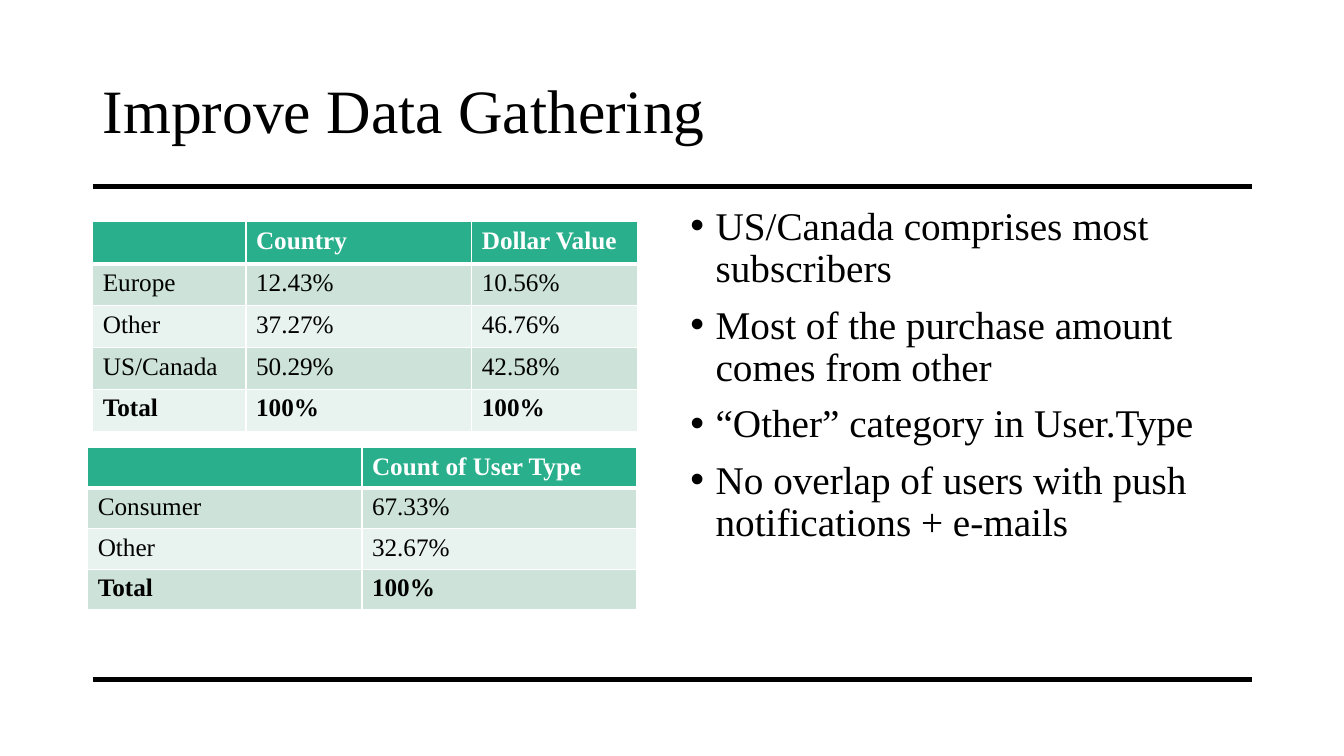
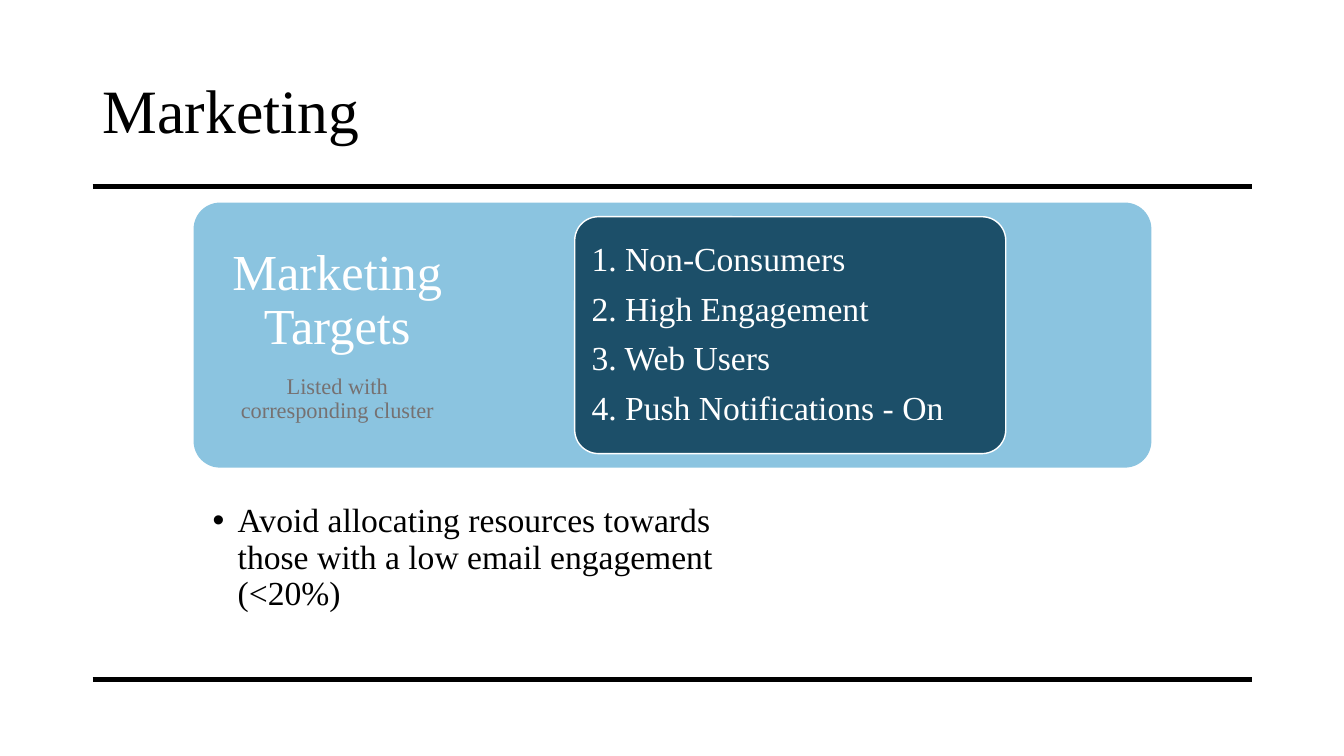
from pptx import Presentation
from pptx.dml.color import RGBColor
from pptx.enum.shapes import MSO_CONNECTOR, MSO_SHAPE
from pptx.enum.text import MSO_ANCHOR, PP_ALIGN
from pptx.oxml.ns import qn
from pptx.util import Inches, Pt
from lxml import etree

# Content
GATHERING_TITLE = "Improve Data Gathering"
REGION_ROWS = [
    ("", "Country", "Dollar Value"),
    ("Europe", "12.43%", "10.56%"),
    ("Other", "37.27%", "46.76%"),
    ("US/Canada", "50.29%", "42.58%"),
    ("Total", "100%", "100%"),
]
USER_ROWS = [
    ("", "Count of User Type"),
    ("Consumer", "67.33%"),
    ("Other", "32.67%"),
    ("Total", "100%"),
]
GATHERING_POINTS = [
    "US/Canada comprises most subscribers",
    "Most of the purchase amount comes from other",
    "“Other” category in User.Type",
    "No overlap of users with push notifications + e-mails",
]
MARKETING_TITLE = "Marketing"
PANEL_HEADING = [("Marketing Targets", 36), ("Listed with corresponding cluster", 16)]
TARGETS = ["1. Non-Consumers", "2. High Engagement", "3. Web Users",
           "4. Push Notifications - On"]
MARKETING_POINTS = ["Avoid allocating resources towards those with a low email "
                    "engagement (<20%)"]

# Shared style
FONT = "Times New Roman"
BLACK = RGBColor(0x00, 0x00, 0x00)
WHITE = RGBColor(0xFF, 0xFF, 0xFF)
GREY = RGBColor(0x76, 0x71, 0x71)
GREEN = RGBColor(0x29, 0xAF, 0x8C)
BANDS = (RGBColor(0xCD, 0xE3, 0xDA), RGBColor(0xE8, 0xF2, 0xEE))
SKY = RGBColor(0x8B, 0xC4, 0xE0)
NAVY = RGBColor(0x1C, 0x4F, 0x69)
MIDDLE, TOP = MSO_ANCHOR.MIDDLE, MSO_ANCHOR.TOP
LEFT, CENTER = PP_ALIGN.LEFT, PP_ALIGN.CENTER
ROUNDED, STRAIGHT = MSO_SHAPE.ROUNDED_RECTANGLE, MSO_CONNECTOR.STRAIGHT

# Page frame, in inches
W, H = 13.33, 7.5
MARGIN, CONTENT_W = 0.92, 11.5
RULES_Y = (1.85, 6.74)
TITLE_Y = 0.4
BODY_W = 5.67
AFTER = 0.39  # paragraph gap in the panel, as a share of the text size


def inches(box):
    return [Inches(v) for v in box]


def add_run(p, text, size, color=BLACK, bold=False):
    r = p.add_run()
    r.text = text
    f = r.font
    f.name, f.size, f.bold = FONT, Pt(size), bold
    f.color.rgb = color


def fill_text(sp, items, align=LEFT, anchor=TOP, after=0, inset=None, bullet=False):
    """Write (text, size, color) items as paragraphs."""
    tf = sp.text_frame
    tf.word_wrap, tf.vertical_anchor = True, anchor
    if inset is not None:
        tf.margin_left = tf.margin_right = Inches(inset)
        tf.margin_top = tf.margin_bottom = Inches(inset)
    for i, (text, size, color) in enumerate(items):
        p = tf.add_paragraph() if i else tf.paragraphs[0]
        p.alignment, p.line_spacing = align, 0.9
        p.space_after = Pt(round(size * after, 1))
        if bullet:
            p.space_before = Pt(10)
            pPr = p._p.get_or_add_pPr()
            pPr.set("marL", str(Inches(0.25)))
            pPr.set("indent", str(-Inches(0.25)))
            etree.SubElement(pPr, qn("a:buFont")).set("typeface", "Arial")
            etree.SubElement(pPr, qn("a:buChar")).set("char", "•")
        add_run(p, text, size, color)


def add_text(s, box, items, **style):
    fill_text(s.shapes.add_textbox(*inches(box)), items, **style)


def add_bullets(s, box, points, size):
    add_text(s, box, [(t, size, BLACK) for t in points], bullet=True)


def add_panel(s, box, color):
    sp = s.shapes.add_shape(ROUNDED, *inches(box))
    sp.adjustments[0] = 0.1
    sp.shadow.inherit = False
    sp.fill.solid()
    sp.fill.fore_color.rgb = color
    sp.line.fill.background()
    return sp


def set_borders(cell, bottom):
    tcPr = cell._tc.get_or_add_tcPr()
    for tag, width in (("lnL", 1), ("lnR", 1), ("lnT", 1), ("lnB", bottom)):
        ln = etree.SubElement(tcPr, qn(f"a:{tag}"), w=str(Pt(width)))
        fill = etree.SubElement(ln, qn("a:solidFill"))
        etree.SubElement(fill, qn("a:srgbClr")).set("val", str(WHITE))


def add_table(s, x, y, col_widths, height, rows):
    box = inches((x, y, sum(col_widths), height))
    tb = s.shapes.add_table(len(rows), len(col_widths), *box).table
    tb.first_row = tb.horz_banding = False
    for col, width in zip(tb.columns, col_widths):
        col.width = Inches(width)
    for i, row in enumerate(rows):
        tb.rows[i].height = Inches(height / len(rows))
        header = i == 0
        for j, text in enumerate(row):
            cell = tb.cell(i, j)
            set_borders(cell, 3 if header else 1)
            cell.fill.solid()
            cell.fill.fore_color.rgb = GREEN if header else BANDS[(i - 1) % 2]
            add_run(cell.text_frame.paragraphs[0], text, 18,
                    WHITE if header else BLACK, header or row[0] == "Total")


def add_slide(prs, title, title_w=CONTENT_W):
    """Blank slide with the two rules and the title."""
    s = prs.slides.add_slide(prs.slide_layouts[6])
    for y in RULES_Y:
        rule = s.shapes.add_connector(
            STRAIGHT, *inches((MARGIN, y, MARGIN + CONTENT_W, y)))
        rule.line.color.rgb, rule.line.width = BLACK, Pt(3.75)
        etree.SubElement(rule._element.spPr, qn("a:effectLst"))
    add_text(s, (MARGIN, TITLE_Y, title_w, RULES_Y[0] - TITLE_Y),
             [(title, 44, BLACK)], anchor=MIDDLE)
    return s


def build_gathering(prs):
    s = add_slide(prs, GATHERING_TITLE)
    add_table(s, MARGIN, 2.2, (1.52, 2.24, 1.64), 2.08, REGION_ROWS)
    add_bullets(s, (MARGIN + CONTENT_W - BODY_W, 2, BODY_W, 4.76),
                GATHERING_POINTS, 28)
    add_table(s, 0.87, 4.44, (2.72, 2.72), 1.61, USER_ROWS)


def build_marketing(prs):
    s = add_slide(prs, MARKETING_TITLE, 4.88)
    # Panel: heading in the left 30%, target card from 45% of the rest
    x, y, w, h = 1.92, 2.01, 9.5, 2.63
    add_panel(s, (x, y, w, h), SKY)
    heading = [(t, size, color)
               for (t, size), color in zip(PANEL_HEADING, (WHITE, GREY))]
    add_text(s, (x, y, w * 0.3, h), heading, align=CENTER, anchor=MIDDLE,
             after=AFTER, inset=0.28)
    pad = 0.14
    card = add_panel(s, (5.7, y + pad, w * 0.45, h - 2 * pad), NAVY)
    card.line.color.rgb, card.line.width = WHITE, Pt(1)
    fill_text(card, [(t, 24, WHITE) for t in TARGETS], anchor=MIDDLE,
              after=AFTER, inset=0.1)
    add_bullets(s, (2.01, 4.95, BODY_W, 1.31), MARKETING_POINTS, 24)


def main():
    prs = Presentation()
    prs.slide_width, prs.slide_height = inches((W, H))
    build_gathering(prs)
    build_marketing(prs)
    prs.save("out.pptx")


if __name__ == "__main__":
    main()
